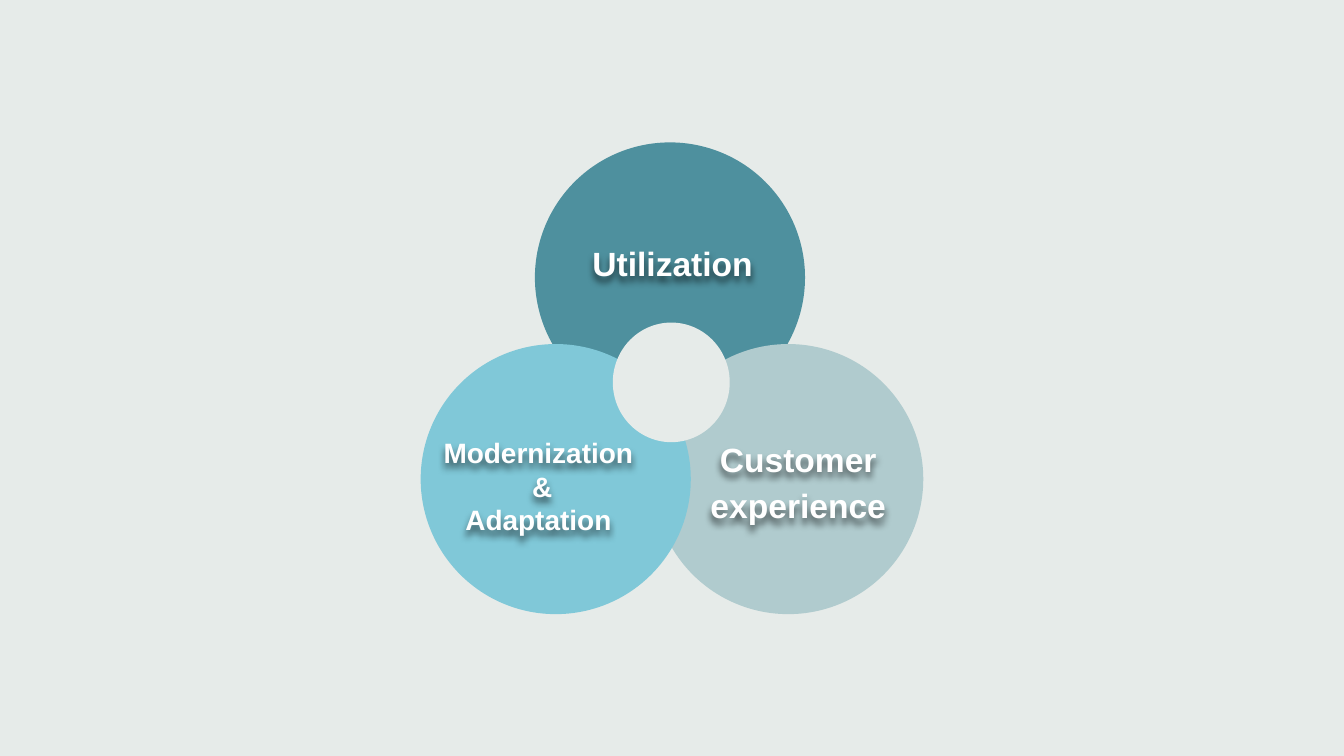
from dataclasses import dataclass
from lxml import etree
from pptx import Presentation
from pptx.dml.color import RGBColor
from pptx.enum import shapes, text
from pptx.oxml import ns
from pptx.util import Inches, Pt


@dataclass(frozen=True)
class Theme:
    back: str = "E6EBE9"
    teal: str = "4E909E"
    sage: str = "B0CBCE"
    sky: str = "80C8D8"
    ink: str = "FFFFFF"
    font: str = "Arial"
    large: int = 18
    small: int = 15


THEME = Theme()
SIZE = 2.01
INSET = 0.08


def paint(fill, color):
    fill.solid()
    fill.fore_color.rgb = RGBColor.from_string(color)


def add_disc(slide, box, color):
    disc = slide.shapes.add_shape(
        shapes.MSO_SHAPE.OVAL, *map(Inches, box))
    disc.shadow.inherit = False
    paint(disc.fill, color)
    disc.line.fill.background()


def add_glow(label):
    """Give the text of an unfilled box a soft shadow below it."""
    props = label._element.spPr
    effects = etree.SubElement(props, ns.qn("a:effectLst"))
    shade = etree.SubElement(
        effects, ns.qn("a:outerShdw"),
        blurRad=str(Pt(4)), dist=str(Pt(3)), dir="5400000",
        algn="t", rotWithShape="0")
    black = etree.SubElement(shade, ns.qn("a:srgbClr"), val="000000")
    etree.SubElement(black, ns.qn("a:alpha"), val="60000")


def add_label(slide, box, lines, size, space):
    label = slide.shapes.add_textbox(*map(Inches, box))
    add_glow(label)
    frame = label.text_frame
    form = {"word_wrap": True, "auto_size": text.MSO_AUTO_SIZE.NONE,
            "vertical_anchor": text.MSO_ANCHOR.MIDDLE}
    for side in ("left", "top", "right", "bottom"):
        form["margin_" + side] = Inches(INSET)
    for name, value in form.items():
        setattr(frame, name, value)
    style = {"name": THEME.font, "size": Pt(size), "bold": True}
    for n, line in enumerate(lines):
        para = frame.add_paragraph() if n else frame.paragraphs[0]
        para.alignment = text.PP_ALIGN.CENTER
        para.line_spacing = space
        run = para.add_run()
        run.text = line
        for name, value in style.items():
            setattr(run.font, name, value)
        run.font.color.rgb = RGBColor.from_string(THEME.ink)


def add_petal(slide, box, color, place, lines, size, space=1.0):
    """Draw a disc in box; place is the label's box relative to it."""
    left, top = box[:2]
    add_disc(slide, box, color)
    dx, dy, wide, high = place
    add_label(slide, (left + dx, top + dy, wide, high), lines, size, space)


def add_trio(slide, box):
    """Place three overlapping petals and a hub in the box."""
    left, top, wide, high = box
    low = top + high - SIZE
    petals = [
        (left + 0.85, top, THEME.teal, (0.33, 0.57, 1.39, 0.65),
         ["Utilization "], THEME.large),
        (left + wide - SIZE, low, THEME.sage, (0.3, 0.68, 1.56, 0.65),
         ["Customer experience"], THEME.large, 1.15),
        (left, low, THEME.sky, (-0.1, 0.73, SIZE, 0.65),
         ["Modernization ", "&", "Adaptation "], THEME.small),
    ]
    for x, y, *rest in petals:
        add_petal(slide, (x, y, SIZE, SIZE), *rest)
    add_disc(slide, (left + 1.43, top + 1.34, 0.87, 0.89), THEME.back)


def main():
    deck = Presentation()
    deck.slide_width = Inches(10)
    deck.slide_height = deck.slide_width * 9 // 16
    slide = deck.slides.add_slide(deck.slide_layouts[6])
    paint(slide.background.fill, THEME.back)
    add_trio(slide, (3.13, 1.06, 3.74, 3.51))
    deck.save("out.pptx")


if __name__ == "__main__":
    main()
